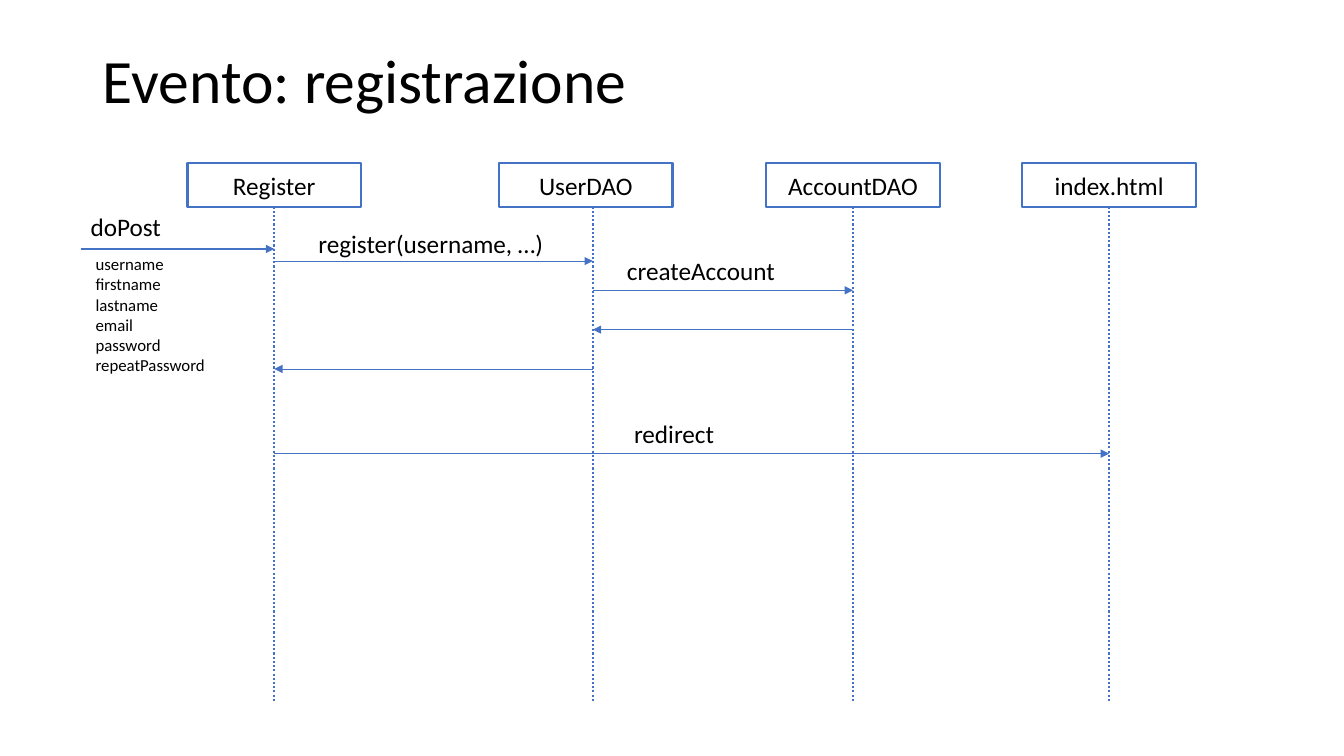
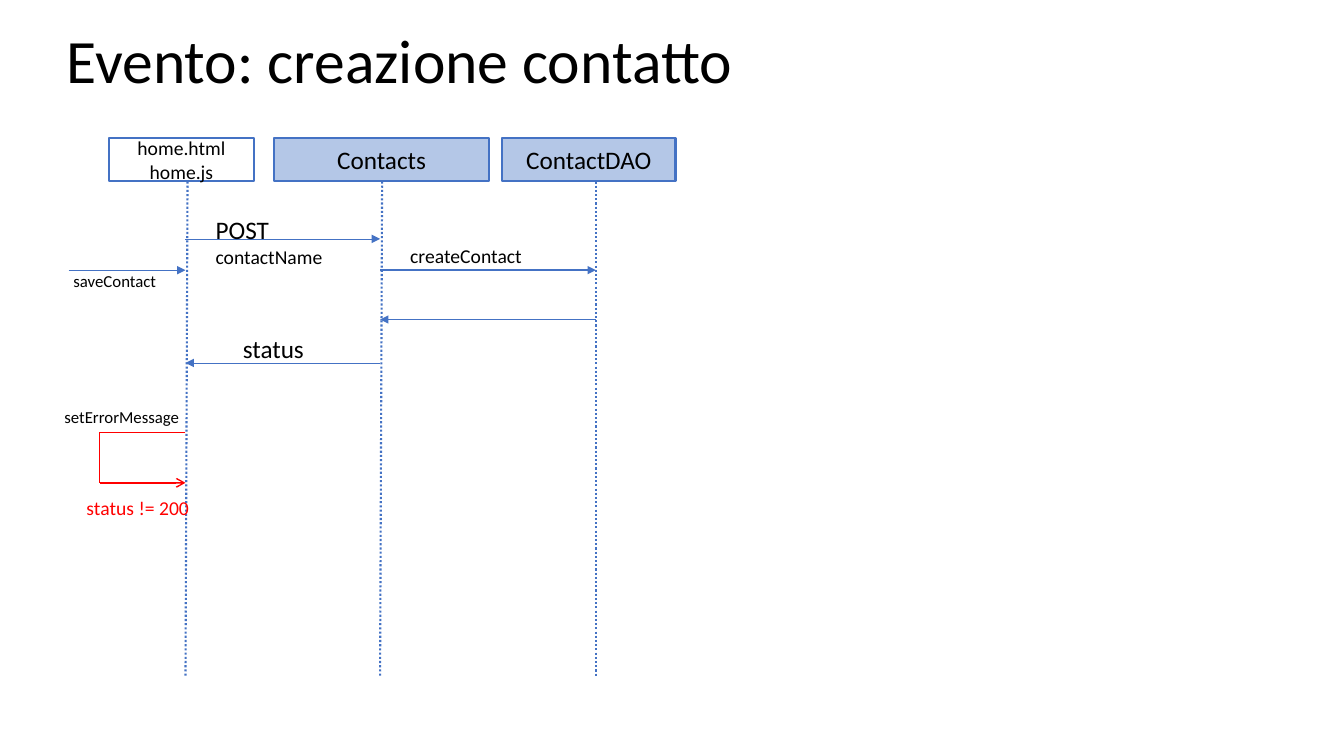
from dataclasses import dataclass
from itertools import pairwise
from lxml.etree import SubElement
from pptx import Presentation
from pptx.dml.color import RGBColor as RGB
from pptx.enum.dml import MSO_LINE as Dash
from pptx.enum.shapes import MSO_CONNECTOR as Conn, MSO_SHAPE as Shape
from pptx.enum.text import MSO_ANCHOR as Anchor, MSO_AUTO_SIZE as Auto, PP_ALIGN as Align
from pptx.oxml.ns import qn
from pptx.util import Inches, Pt


@dataclass(frozen=True)
class Theme:
    font: str = "Calibri"
    ink: RGB = RGB(0, 0, 0)
    blue: RGB = RGB(0x44, 0x72, 0xC4)
    pale: RGB = RGB(0xB4, 0xC7, 0xE7)
    red: RGB = RGB(0xFF, 0, 0)
    title: int = 44
    large: int = 18
    medium: int = 14
    small: int = 12
    thick: float = 1.5
    middle: float = 1
    thin: float = 0.5


@dataclass(frozen=True)
class Lane:
    name: str
    left: float
    width: float
    axis: float
    lean: float = 0
    fill: RGB | None = None
    size: int = 18


@dataclass(frozen=True)
class Label:
    lines: list
    left: float
    top: float
    width: float
    wrap: bool = False
    color: RGB = RGB(0, 0, 0)


T = Theme()
HEAD = 4.3


def grid(*cells):
    return [Inches(round(c / 10, 3)) for c in cells]


def assign(target, values):
    for name, value in values.items():
        setattr(target, name, value)


def write(tf, lines, color=T.ink, **layout):
    for i, (text, size) in enumerate(lines):
        p = tf.add_paragraph() if i else tf.paragraphs[0]
        assign(p, layout)
        r = p.add_run()
        r.text = text
        assign(r.font, {"name": T.font, "size": Pt(size)})
        r.font.color.rgb = color


def add_line(shapes, start, end, weight, color=T.blue, dash=None, tail=None):
    line = shapes.add_connector(Conn.STRAIGHT, *grid(*start, *end))
    line.line.color.rgb = color
    line.line.width = Pt(weight)
    if dash:
        line.line.dash_style = dash
    props = line._element.spPr
    if tail:
        SubElement(props.find(qn("a:ln")), qn("a:tailEnd"), type=tail)
    SubElement(props, qn("a:effectLst"))


def add_title(s, text, box):
    sp = s.shapes.title
    assign(sp, dict(zip(("left", "top", "width", "height"), grid(*box))))
    tf = sp.text_frame
    assign(tf, {"auto_size": Auto.NONE, "word_wrap": True, "vertical_anchor": Anchor.MIDDLE})
    write(tf, [(text, T.title)], alignment=Align.LEFT, line_spacing=0.9)


def add_lane(s, lane, box):
    left, top, _, height = box
    sp = s.shapes.add_shape(Shape.RECTANGLE, *grid(left + lane.left, top, lane.width, HEAD))
    sp.shadow.inherit = False
    if lane.fill:
        sp.fill.solid()
        sp.fill.fore_color.rgb = lane.fill
    else:
        sp.fill.background()
    sp.line.color.rgb = T.blue
    sp.line.width = Pt(T.thick)
    sp.text_frame.vertical_anchor = Anchor.MIDDLE
    write(sp.text_frame, [(t, lane.size) for t in lane.name.split("\n")], alignment=Align.CENTER)
    axis = left + lane.axis
    add_line(s.shapes, (axis + lane.lean, top + HEAD), (axis, top + height), T.thick, dash=Dash.ROUND_DOT)


def add_label(s, label, box):
    height = 2 * 0.5 + sum(size / 6 for _, size in label.lines)
    sp = s.shapes.add_textbox(*grid(box[0] + label.left, box[1] + label.top, label.width, height))
    assign(sp.text_frame, {"word_wrap": label.wrap, "auto_size": Auto.SHAPE_TO_FIT_TEXT})
    write(sp.text_frame, label.lines, label.color, alignment=Align.LEFT)


def add_self_call(s, axis, top, width, height):
    group = s.shapes.add_group_shape()
    corners = [(axis, top), (axis - width, top), (axis - width, top + height), (axis, top + height)]
    for i, (start, end) in enumerate(pairwise(corners)):
        add_line(group.shapes, start, end, T.middle, T.red, tail="arrow" if i == 2 else None)


def sequence_slide(prs, title, title_box, box, lanes, messages, labels):
    s = prs.slides.add_slide(prs.slide_layouts[5])
    add_title(s, title, title_box)
    for lane in lanes:
        add_lane(s, lane, box)
    stops = [box[0]] + [box[0] + lane.axis for lane in lanes]
    for source, target, row, weight in messages:
        y = box[1] + row
        add_line(s.shapes, (stops[source], y), (stops[target], y), weight, tail="triangle")
    for label in labels:
        add_label(s, label, box)
    return s


def registration_slide(prs):
    fields = ["username", "firstname", "lastname", "email", "password", "repeatPassword"]
    sequence_slide(
        prs, "Evento: registrazione", (9.2, 2.7, 115, 11.1), (8, 16.2, 110.6, 53.4),
        [Lane("Register", 10.6, 17.2, 19.2), Lane("UserDAO", 41.5, 17.2, 50.8),
         Lane("AccountDAO", 68, 17.2, 76.6), Lane("index.html", 93.4, 17.2, 102)],
        [(0, 1, 8.5, T.middle), (1, 2, 9.7, T.thin), (2, 3, 12.6, T.thin),
         (3, 2, 16.5, T.thin), (2, 1, 20.4, T.thin), (1, 4, 28.8, T.thin)],
        [Label([("doPost", T.large)], 0, 4.3, 9.1),
         Label([(f, T.small) for f in fields], 0.5, 8.5, 13),
         Label([("register(username, …)", T.large)], 22.6, 6, 24.6),
         Label([("createAccount", T.large)], 53.2, 8.6, 16.8),
         Label([("redirect", T.large)], 53.9, 24.8, 10.1)])


def contact_slide(prs):
    box = (6.8, 13.7, 60.2, 53.4)
    home = Lane("home.html\nhome.js", 4, 14.4, 11.6, 0.2, size=T.medium)
    s = sequence_slide(
        prs, "Evento: creazione contatto", (5.6, 1.8, 115, 9.1), box,
        [home, Lane("Contacts", 20.4, 21.3, 30.9, 0.2, T.pale),
         Lane("ContactDAO", 43, 17.2, 52.3, fill=T.pale)],
        [(0, 1, 13.1, T.thin), (1, 2, 10, T.thin), (2, 3, 13.1, T.middle),
         (3, 2, 18, T.thin), (2, 1, 22.3, T.thin)],
        [Label([("saveContact", T.small)], -0.5, 12.7, 10.3),
         Label([("POST", T.large), ("contactName", T.medium)], 13.6, 7.1, 12.7),
         Label([("createContact", T.medium)], 32.9, 10, 18.5, True),
         Label([("status", T.large)], 16.3, 18.9, 8.1),
         Label([("setErrorMessage", T.small)], -1.4, 26.2, 13.5, True),
         Label([("status != 200", T.medium)], 0.8, 35, 12.3, True, T.red)])
    add_self_call(s, box[0] + home.axis, box[1] + 29.2, 8.5, 5)


prs = Presentation()
prs.slide_width, prs.slide_height = Inches(13.33), Inches(7.5)
registration_slide(prs)
contact_slide(prs)
prs.save("out.pptx")
